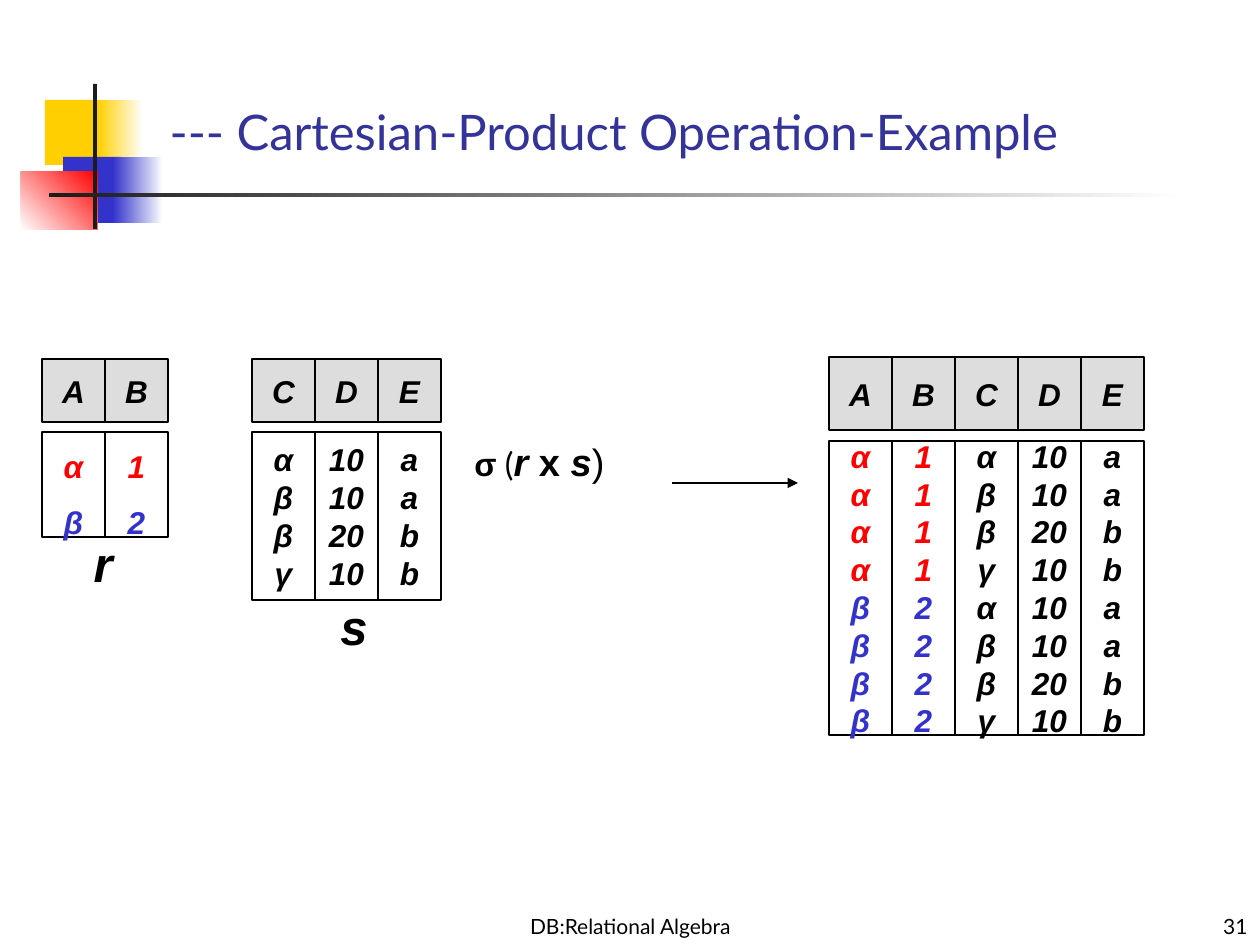
from dataclasses import dataclass
from itertools import product

from lxml.etree import SubElement
from pptx import Presentation
from pptx.dml.color import RGBColor
from pptx.enum.shapes import MSO_CONNECTOR, MSO_SHAPE
from pptx.enum.text import MSO_ANCHOR as Anchor, MSO_AUTO_SIZE as AutoSize, PP_ALIGN as Align
from pptx.oxml.ns import qn
from pptx.util import Pt

PX = 914400 / 126  # EMU in one px

BLACK = RGBColor(0x00, 0x00, 0x00)
WHITE = RGBColor(0xFF, 0xFF, 0xFF)
GREY = RGBColor(0xDD, 0xDD, 0xDD)
DARK = RGBColor(0x1C, 0x1C, 0x1C)
RED = RGBColor(0xFF, 0x00, 0x00)
BLUE = RGBColor(0x33, 0x33, 0xCC)
YELLOW = RGBColor(0xFF, 0xCF, 0x01)
NAVY = RGBColor(0x33, 0x33, 0x99)

COL_W = 63


@dataclass(frozen=True)
class Box:
    x: int
    y: int
    w: int
    h: int

    def emu(self) -> list[int]:
        return [round(v * PX) for v in (self.x, self.y, self.w, self.h)]


@dataclass(frozen=True)
class Block:
    """A decorative rectangle, plain or fading from start to end."""
    box: Box
    start: RGBColor
    end: RGBColor | None = None
    angle: int = 0


@dataclass(frozen=True)
class Cell:
    text: str
    color: RGBColor = BLACK


@dataclass(frozen=True)
class Relation:
    x: int
    head_y: int
    head_h: int
    body_y: int
    body_h: int
    names: str
    rows: list[tuple[Cell, ...]]
    spacing: float = 1.0


@dataclass(frozen=True)
class Label:
    box: Box
    text: str
    size: int
    font: str
    align: Align
    anchor: Anchor
    strong: bool = False


def style(r, size: float, font: str, color: RGBColor = BLACK,
          bold: bool = False, italic: bool = False) -> None:
    f = r.font
    f.size, f.name, f.bold, f.italic = Pt(size), font, bold, italic
    f.color.rgb = color


def add_rect(slide, box: Box):
    sp = slide.shapes.add_shape(MSO_SHAPE.RECTANGLE, *box.emu())
    sp.shadow.inherit = False
    return sp


def add_block(slide, block: Block) -> None:
    sp = add_rect(slide, block.box)
    sp.line.fill.background()
    if block.end is None:
        sp.fill.solid()
        sp.fill.fore_color.rgb = block.start
        return
    sp.fill.gradient()
    sp.fill.gradient_angle = block.angle
    for stop, color, pos in zip(sp.fill.gradient_stops, (block.start, block.end), (0, 1)):
        stop.color.rgb = color
        stop.position = pos


def add_column(slide, box: Box, fill: RGBColor, cells: list[Cell], spacing: float = 1.0) -> None:
    sp = add_rect(slide, box)
    sp.fill.solid()
    sp.fill.fore_color.rgb = fill
    sp.line.color.rgb = BLACK
    sp.line.width = Pt(0.75)
    tf = sp.text_frame
    tf.word_wrap = False
    tf.vertical_anchor = Anchor.MIDDLE
    tf.text = "\n".join(c.text for c in cells)
    for p, cell in zip(tf.paragraphs, cells):
        p.alignment = Align.CENTER
        p.line_spacing = spacing
        style(p.runs[0], 18, "Arial", cell.color, bold=True, italic=True)


def add_relation(slide, rel: Relation) -> None:
    for i, (name, column) in enumerate(zip(rel.names, zip(*rel.rows))):
        x = rel.x + i * COL_W
        add_column(slide, Box(x, rel.head_y, COL_W, rel.head_h), GREY, [Cell(name)])
        add_column(slide, Box(x, rel.body_y, COL_W, rel.body_h), WHITE, column, rel.spacing)


def add_label(slide, label: Label) -> None:
    tf = slide.shapes.add_textbox(*label.box.emu()).text_frame
    tf.word_wrap = not label.strong
    tf.vertical_anchor = label.anchor
    if label.strong:
        tf.auto_size = AutoSize.SHAPE_TO_FIT_TEXT
    tf.text = label.text
    p = tf.paragraphs[0]
    p.alignment = label.align
    style(p.runs[0], label.size, label.font, bold=label.strong, italic=label.strong)


def add_formula(slide, box: Box) -> None:
    tf = slide.shapes.add_textbox(*box.emu()).text_frame
    tf.word_wrap = True
    p = tf.paragraphs[0]
    p.line_spacing = 0.8
    for text, size, font, bold, italic in (
        ("σ", 18.6, "Arial", True, False),
        (" (", 18.6, "Lato", False, False),
        ("r", 21.7, "Arial", True, True),
        (" x ", 21.7, "Arial", True, False),
        ("s", 21.7, "Arial", True, True),
        (")", 21.7, "Arial", False, False),
    ):
        r = p.add_run()
        r.text = text
        style(r, size, font, bold=bold, italic=italic)


def add_arrow(slide, x1: int, x2: int, y: int) -> None:
    ends = [round(v * PX) for v in (x1, y, x2, y)]
    line = slide.shapes.add_connector(MSO_CONNECTOR.STRAIGHT, *ends)
    line.line.color.rgb = BLACK
    line.line.width = Pt(0.75)
    SubElement(line.line._get_or_add_ln(), qn("a:tailEnd"), type="triangle")
    SubElement(line._element.spPr, qn("a:effectLst"))


BLOCKS = [
    Block(Box(45, 100, 60, 65), YELLOW),
    Block(Box(98, 100, 45, 65), YELLOW, WHITE),
    Block(Box(63, 157, 58, 66), BLUE),
    Block(Box(113, 157, 50, 66), BLUE, WHITE),
    Block(Box(21, 172, 77, 58), WHITE, RED, 45),
    Block(Box(93, 84, 4, 145), DARK),
    Block(Box(49, 193, 1134, 4), DARK, WHITE),
]

# Rows of r and s; the result pairs every row of r with every row of s
R_ROWS = [(Cell("α", RED), Cell("1", RED)), (Cell("β", BLUE), Cell("2", BLUE))]
S_ROWS = [tuple(Cell(t) for t in row.split()) for row in ("α 10 a", "β 10 a", "β 20 b", "γ 10 b")]
RS_ROWS = [a + b for a, b in product(R_ROWS, S_ROWS)]

RELATIONS = [
    Relation(42, 359, 63, 432, 105, "AB", R_ROWS, 1.5),
    Relation(829, 357, 73, 441, 294, "ABCDE", RS_ROWS),
    Relation(252, 359, 63, 432, 168, "CDE", S_ROWS),
]

LABELS = [
    Label(Box(81, 527, 44, 72), "r", 28, "Arial", Align.CENTER, Anchor.MIDDLE, True),
    Label(Box(328, 590, 52, 72), "s", 28, "Arial", Align.CENTER, Anchor.MIDDLE, True),
    Label(Box(431, 892, 399, 53), "DB:Relational Algebra", 12, "Lato", Align.CENTER, Anchor.BOTTOM),
    Label(Box(998, 892, 262, 53), "31", 12, "Lato", Align.RIGHT, Anchor.BOTTOM),
]


def main() -> None:
    prs = Presentation()
    prs.slide_width, prs.slide_height = round(1260 * PX), round(945 * PX)
    s = prs.slides.add_slide(prs.slide_layouts[5])

    # Corner decoration
    for block in BLOCKS:
        add_block(s, block)

    # Title
    title = s.shapes.title
    title.left, title.top, title.width, title.height = Box(157, 98, 1058, 69).emu()
    tf = title.text_frame
    tf.text = "--- Cartesian-Product Operation-Example"
    tf.vertical_anchor = Anchor.BOTTOM
    tf.auto_size = AutoSize.NONE
    tf.paragraphs[0].alignment = Align.LEFT
    style(tf.paragraphs[0].runs[0], 28, "Lato", NAVY)

    # Formula, relations, their names and the footer
    add_formula(s, Box(462, 441, 210, 63))
    for rel in RELATIONS:
        add_relation(s, rel)
    for label in LABELS:
        add_label(s, label)
    add_arrow(s, 672, 798, 483)

    prs.save("out.pptx")


if __name__ == "__main__":
    main()
